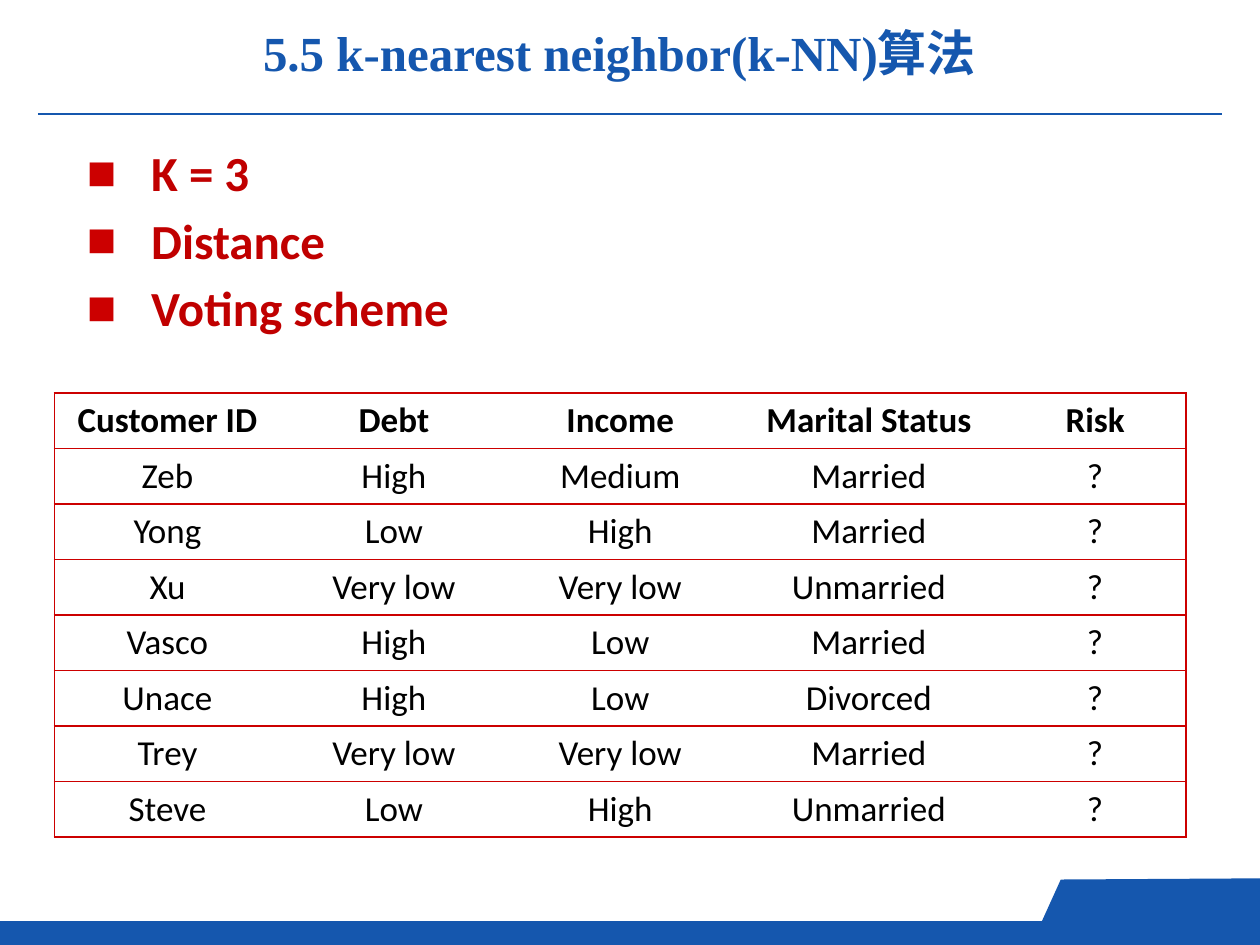
from lxml import etree
from pptx import Presentation
from pptx import util as u
from pptx.dml import color
from pptx.enum import shapes, text
from pptx.oxml import ns

BLUE, RED, DARK_RED = "1557AE", "CC0000", "C00000"
BLACK, WHITE = "000000", "FFFFFF"


def rgb(value):
    return color.RGBColor.from_string(value)


def add_xml(parent, tag, **attributes):
    return etree.SubElement(parent, ns.qn(tag), attributes)


class SlideBuilder:
    """Holds the style and the current slide; lengths are in points."""

    heading_font = "Times New Roman"
    body_font = "Calibri"

    def __init__(self, page):
        self.page = page

    def place(self, item, left, top, width, height):
        item.left, item.top = u.Pt(left), u.Pt(top)
        item.width, item.height = u.Pt(width), u.Pt(height)

    def style(self, para, name, size, fill, bold):
        font = para.font
        font.name, font.size, font.bold = name, u.Pt(size), bold
        font.color.rgb = rgb(fill)

    def paint(self, shape):
        shape.shadow.inherit = False
        shape.fill.solid()
        shape.fill.fore_color.rgb = rgb(BLUE)
        shape.line.fill.background()

    def bar(self, left, top, width, height):
        kind = shapes.MSO_SHAPE.FLOWCHART_PROCESS
        self.paint(self.page.shapes.add_shape(
            kind, u.Pt(left), u.Pt(top), u.Pt(width), u.Pt(height)))

    def corner_tab(self, top):
        points = [(720, top), (606.2, top + 0.7), (594.7, top + 26)]
        outline = self.page.shapes.build_freeform(
            u.Pt(720), u.Pt(top + 26), scale=1.0)
        outline.add_line_segments([(u.Pt(x), u.Pt(y)) for x, y in points])
        self.paint(outline.convert_to_shape())

    def rule(self, left, right, y):
        line = self.page.shapes.add_connector(
            shapes.MSO_CONNECTOR.STRAIGHT,
            u.Pt(left), u.Pt(y), u.Pt(right), u.Pt(y))
        line.line.color.rgb = rgb(BLUE)
        line.line.width = u.Pt(1.5)
        add_xml(line._element.spPr, "a:effectLst")

    def title(self, words, *area):
        box = self.page.shapes.title
        self.place(box, *area)
        frame = box.text_frame
        frame.text = words
        frame.auto_size = text.MSO_AUTO_SIZE.NONE
        frame.vertical_anchor = text.MSO_ANCHOR.MIDDLE
        para = frame.paragraphs[0]
        para.alignment = text.PP_ALIGN.CENTER
        self.style(para, self.heading_font, 28, BLUE, True)

    def bullets(self, items, *area):
        box = self.page.placeholders[1]
        self.place(box, *area)
        frame = box.text_frame
        frame.text = "\n".join(items)
        frame.auto_size = text.MSO_AUTO_SIZE.NONE
        for index, para in enumerate(frame.paragraphs):
            props = para._p.get_or_add_pPr()
            props.set("marL", str(u.Pt(36.7)))
            props.set("indent", str(u.Pt(-36.7)))
            add_xml(add_xml(props, "a:buClr"), "a:srgbClr", val=RED)
            add_xml(props, "a:buChar", char="■")
            para.space_before = u.Pt(5 if index else 0)
            self.style(para, self.body_font, 28, DARK_RED, True)

    def border(self, cell, sides):
        props = cell._tc.get_or_add_tcPr()
        for side in "LRTB":
            line = add_xml(props, "a:ln" + side, w=str(u.Pt(1)))
            if side in sides:
                fill = add_xml(line, "a:solidFill")
                add_xml(fill, "a:srgbClr", val=RED)
            else:
                add_xml(line, "a:noFill")

    def table(self, rows, widths, left, top, row_height):
        grid = self.page.shapes.add_table(
            len(rows), len(widths), u.Pt(left), u.Pt(top),
            u.Pt(sum(widths)), u.Pt(row_height * len(rows))).table
        for column, width in zip(grid.columns, widths):
            column.width = u.Pt(width)
        for row_index, row in enumerate(rows):
            grid.rows[row_index].height = u.Pt(row_height)
            for column_index, words in enumerate(row):
                cell = grid.cell(row_index, column_index)
                cell.text = words
                cell.vertical_anchor = text.MSO_ANCHOR.MIDDLE
                # Horizontal lines everywhere, vertical ones only outside
                sides = "TB"
                if column_index == 0:
                    sides += "L"
                if column_index == len(widths) - 1:
                    sides += "R"
                self.border(cell, sides)
                cell.fill.solid()
                cell.fill.fore_color.rgb = rgb(WHITE)
                para = cell.text_frame.paragraphs[0]
                para.alignment = text.PP_ALIGN.CENTER
                self.style(para, self.body_font, 20, BLACK, row_index == 0)


def main():
    deck = Presentation()
    deck.slide_width, deck.slide_height = u.Pt(720), u.Pt(540)
    builder = SlideBuilder(deck.slides.add_slide(deck.slide_layouts[1]))

    # Page frame
    for top in (510.5, 501.9):
        builder.corner_tab(top)
    builder.rule(21.6, 698.4, 65.2)
    builder.bar(0, 526.5, 720, 13.5)

    # Title and list
    builder.title("5.5 k-nearest neighbor(k-NN)算法", 64.8, 9.4, 578.2, 41)
    builder.bullets(["K = 3", "Distance", "Voting scheme"],
                    42.5, 78, 612, 324)

    # Customers to classify
    customers = [
        ("Zeb", "High", "Medium", "Married"),
        ("Yong", "Low", "High", "Married"),
        ("Xu", "Very low", "Very low", "Unmarried"),
        ("Vasco", "High", "Low", "Married"),
        ("Unace", "High", "Low", "Divorced"),
        ("Trey", "Very low", "Very low", "Married"),
        ("Steve", "Low", "High", "Unmarried"),
    ]
    header = ("Customer ID", "Debt", "Income", "Marital Status", "Risk")
    rows = [header] + [customer + ("?",) for customer in customers]
    builder.table(rows, [129.4, 129.4, 129.4, 154.8, 103.7], 31, 224.6, 31.2)

    deck.save("out.pptx")


if __name__ == "__main__":
    main()
